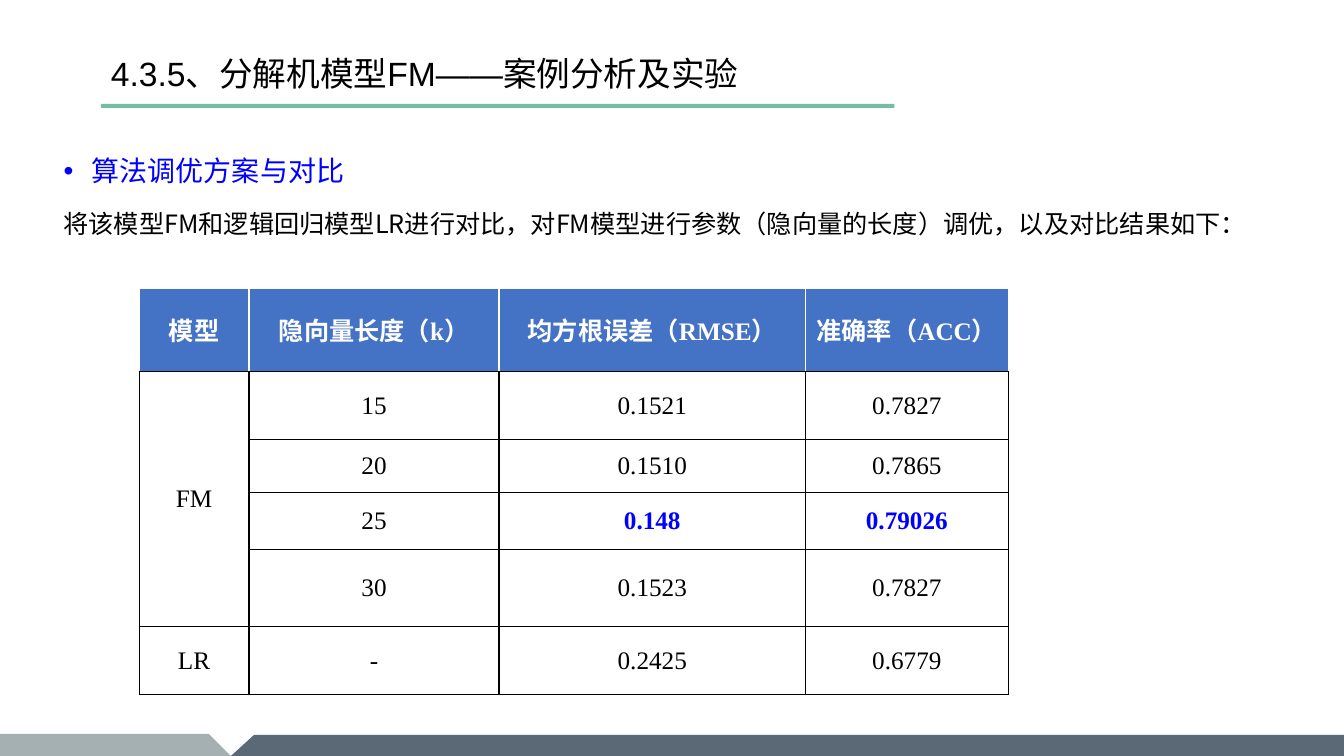
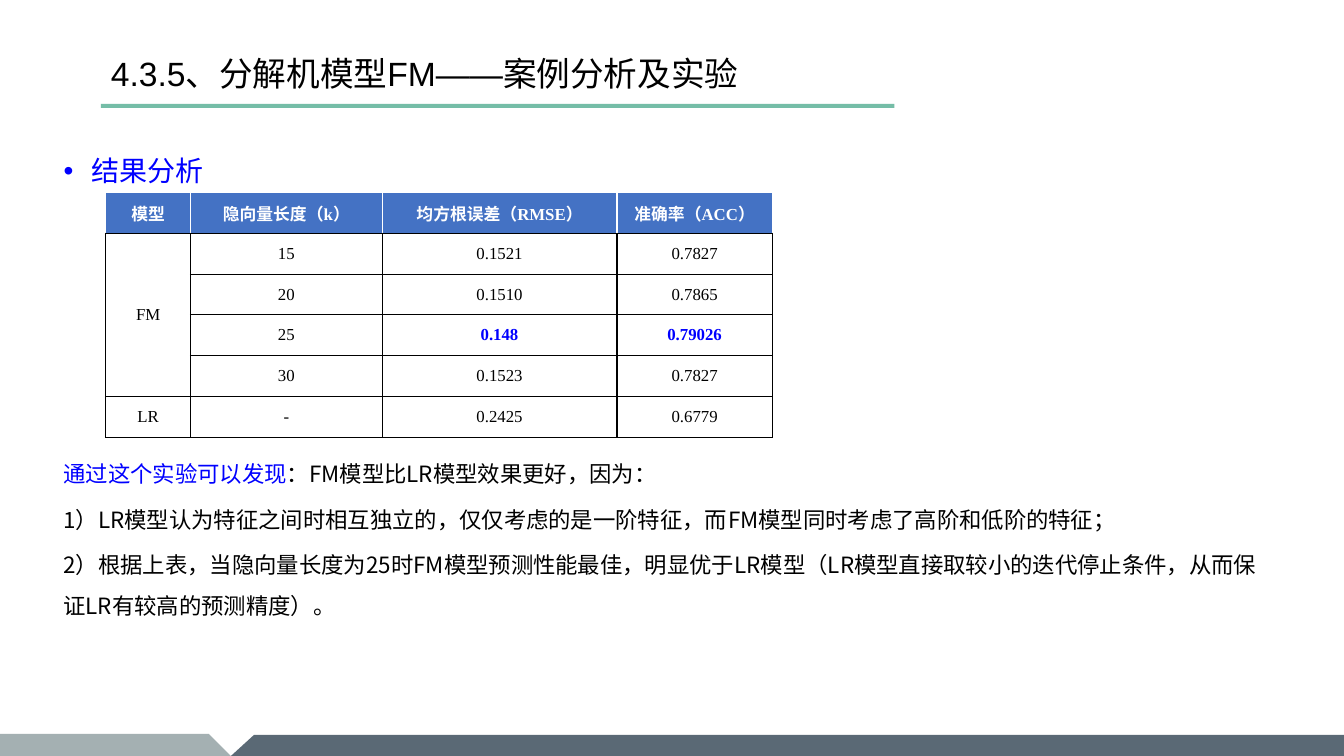
from dataclasses import dataclass

from lxml import etree
from pptx import Presentation
from pptx import util as u
from pptx.dml.color import RGBColor
from pptx.enum import shapes, text
from pptx.oxml import ns

Inches, Pt = u.Inches, u.Pt


@dataclass(frozen=True)
class Theme:
    black: str = "000000"
    white: str = "FFFFFF"
    highlight: str = "0000FF"
    header: str = "4472C4"
    rule: str = "75BDA7"
    dark_band: str = "243848"
    pale_band: str = "7A8C8E"
    title_font: str = "Arial"
    body_font: str = "Noto Sans CJK SC"
    table_font: str = "Times New Roman"
    title_size: int = 24
    heading_size: int = 20
    line_spacing: float = 1.5
    space_before: int = 4
    inset: float = 0.05


THEME = Theme()
TITLE = "4.3.5、分解机模型FM——案例分析及实验"
RESULTS = [
    ["模型", "隐向量长度（k）", "均方根误差（RMSE）", "准确率（ACC）"],
    ["FM", "15", "0.1521", "0.7827"],
    ["", "20", "0.1510", "0.7865"],
    ["", "25", "0.148", "0.79026"],
    ["", "30", "0.1523", "0.7827"],
    ["LR", "-", "0.2425", "0.6779"],
]
BEST_RESULTS = {"0.148", "0.79026"}


def add_element(parent, tag, **attributes):
    return etree.SubElement(parent, ns.qn(tag), attributes)


class Deck:
    def __init__(self, theme):
        self.theme = theme
        self.presentation = Presentation()
        self.presentation.slide_width = Inches(13.33)
        self.presentation.slide_height = Inches(7.5)
        self.slide = None

    def add_slide(self, title):
        layout = self.presentation.slide_layouts.get_by_name("Title Only")
        self.slide = self.presentation.slides.add_slide(layout)
        self.add_band([(2.29, 7.5), (2.52, 7.29), (13.33, 7.29), (13.33, 7.5)],
                      self.theme.dark_band, 75)
        self.add_band([(0, 7.28), (2.07, 7.28), (2.29, 7.5), (0, 7.5)],
                      self.theme.pale_band, 68)
        rule = self.slide.shapes.add_shape(
            shapes.MSO_SHAPE.RECTANGLE,
            Inches(1), Inches(1.03), Inches(7.87), Inches(0.04))
        self.paint(rule, self.theme.rule)
        self.format_title(title)

    def format_title(self, title):
        shape = self.slide.shapes.title
        shape.left, shape.top = Inches(1.05), Inches(0.19)
        shape.width, shape.height = Inches(7.82), Inches(0.86)
        self.format_frame(shape.text_frame)
        shape.text_frame.vertical_anchor = text.MSO_ANCHOR.MIDDLE
        paragraph = shape.text_frame.paragraphs[0]
        paragraph.text = title
        paragraph.alignment = text.PP_ALIGN.LEFT
        paragraph.line_spacing = self.theme.line_spacing
        self.set_font(paragraph, self.theme.title_font,
                      self.theme.title_size, self.theme.black)

    def add_band(self, points, color, opacity):
        corners = [(Inches(x), Inches(y)) for x, y in points]
        builder = self.slide.shapes.build_freeform(*corners[0])
        builder.add_line_segments(corners[1:], close=True)
        band = builder.convert_to_shape()
        self.paint(band, color)
        fill_color = band._element.spPr.find(".//" + ns.qn("a:srgbClr"))
        add_element(fill_color, "a:alpha", val=str(opacity * 1000))

    def paint(self, shape, color):
        shape.shadow.inherit = False
        shape.fill.solid()
        shape.fill.fore_color.rgb = RGBColor.from_string(color)
        shape.line.fill.background()

    def format_frame(self, frame):
        frame.word_wrap = True
        frame.auto_size = text.MSO_AUTO_SIZE.NONE
        frame.margin_left = frame.margin_right = Inches(self.theme.inset)
        frame.margin_top = frame.margin_bottom = Inches(self.theme.inset)

    def set_font(self, paragraph, name, size, color, bold=False):
        """Set Latin text in the named font and Chinese in the body font."""
        font = paragraph.font
        font.size, font.bold = Pt(size), bold
        font.color.rgb = RGBColor.from_string(color)
        font.name = name
        properties = paragraph._p.get_or_add_pPr().get_or_add_defRPr()
        add_element(properties, "a:ea", typeface=self.theme.body_font)

    def add_text_box(self, top, height):
        box = self.slide.shapes.add_textbox(
            Inches(0.58), Inches(top), Inches(12.05), Inches(height))
        self.format_frame(box.text_frame)
        return box.text_frame

    def add_paragraph(self, frame, content, size, color, lead="", bullet=False):
        """Add a paragraph, with an optional highlighted lead-in."""
        first = not frame.text
        paragraph = frame.paragraphs[0] if first else frame.add_paragraph()
        paragraph.line_spacing = self.theme.line_spacing
        paragraph.space_before = Pt(0 if first else self.theme.space_before)
        if bullet:
            properties = paragraph._p.get_or_add_pPr()
            properties.set("marL", str(Inches(0.28)))
            properties.set("indent", str(-Inches(0.28)))
            add_element(properties, "a:buFont", typeface="Arial")
            add_element(properties, "a:buChar", char="•")
        self.set_font(paragraph, self.theme.body_font, size, color)
        if lead:
            run = paragraph.add_run()
            run.text = lead
            run.font.color.rgb = RGBColor.from_string(self.theme.highlight)
        paragraph.add_run().text = content

    def add_heading(self, frame, content):
        self.add_paragraph(frame, content, self.theme.heading_size,
                           self.theme.highlight, bullet=True)

    def add_results(self, left, top, widths, heights, size):
        table = self.slide.shapes.add_table(
            len(RESULTS), len(widths), Inches(left), Inches(top),
            Inches(sum(widths)), Inches(sum(heights))).table
        table.first_row = table.horz_banding = False
        for column, width in zip(table.columns, widths):
            column.width = Inches(width)
        for row, height in zip(table.rows, heights):
            row.height = Inches(height)
        for row_index, values in enumerate(RESULTS):
            for column_index, value in enumerate(values):
                self.format_cell(table.cell(row_index, column_index), value,
                                 size, header=row_index == 0)
        table.cell(1, 0).merge(table.cell(4, 0))

    def format_cell(self, cell, value, size, header):
        theme = self.theme
        best = value in BEST_RESULTS
        color = theme.white if header else theme.highlight if best else theme.black
        edge = theme.white if header else theme.black
        self.add_borders(cell, {"L": edge, "R": edge, "T": edge, "B": theme.black})
        cell.fill.solid()
        cell.fill.fore_color.rgb = RGBColor.from_string(
            theme.header if header else theme.white)
        cell.vertical_anchor = text.MSO_ANCHOR.MIDDLE
        paragraph = cell.text_frame.paragraphs[0]
        paragraph.text = value
        paragraph.alignment = text.PP_ALIGN.CENTER
        self.set_font(paragraph, theme.table_font, size, color, header or best)

    def add_borders(self, cell, edges):
        properties = cell._tc.get_or_add_tcPr()
        for side, color in edges.items():
            line = add_element(properties, "a:ln" + side, w=str(Pt(1)))
            add_element(add_element(line, "a:solidFill"), "a:srgbClr", val=color)


def add_comparison(deck):
    deck.add_slide(TITLE)
    frame = deck.add_text_box(1.31, 5.57)
    deck.add_heading(frame, "算法调优方案与对比")
    deck.add_paragraph(
        frame,
        "将该模型FM和逻辑回归模型LR进行对比，对FM模型进行参数（隐向量的长度）调优，"
        "以及对比结果如下：",
        18, THEME.black)
    deck.add_results(1.38, 2.86, [1.09, 2.48, 3.04, 2.01],
                     [0.67, 0.68, 0.52, 0.57, 0.76, 0.68], 18)


def add_analysis(deck):
    deck.add_slide(TITLE)
    deck.add_heading(deck.add_text_box(1.31, 0.6), "结果分析")
    deck.add_results(1.05, 1.91, [0.84, 1.9, 2.33, 1.54],
                     [2.43 / len(RESULTS)] * len(RESULTS), 12)
    findings = [
        ("通过这个实验可以发现", "：FM模型比LR模型效果更好，因为："),
        ("", "1）LR模型认为特征之间时相互独立的，仅仅考虑的是一阶特征，"
             "而FM模型同时考虑了高阶和低阶的特征；"),
        ("", "2）根据上表，当隐向量长度为25时FM模型预测性能最佳，明显优于LR模型"
             "（LR模型直接取较小的迭代停止条件，从而保证LR有较高的预测精度）。"),
    ]
    frame = deck.add_text_box(4.38, 2.5)
    for lead, content in findings:
        deck.add_paragraph(frame, content, 16, THEME.black, lead=lead)


def main():
    deck = Deck(THEME)
    add_comparison(deck)
    add_analysis(deck)
    deck.presentation.save("out.pptx")


if __name__ == "__main__":
    main()
